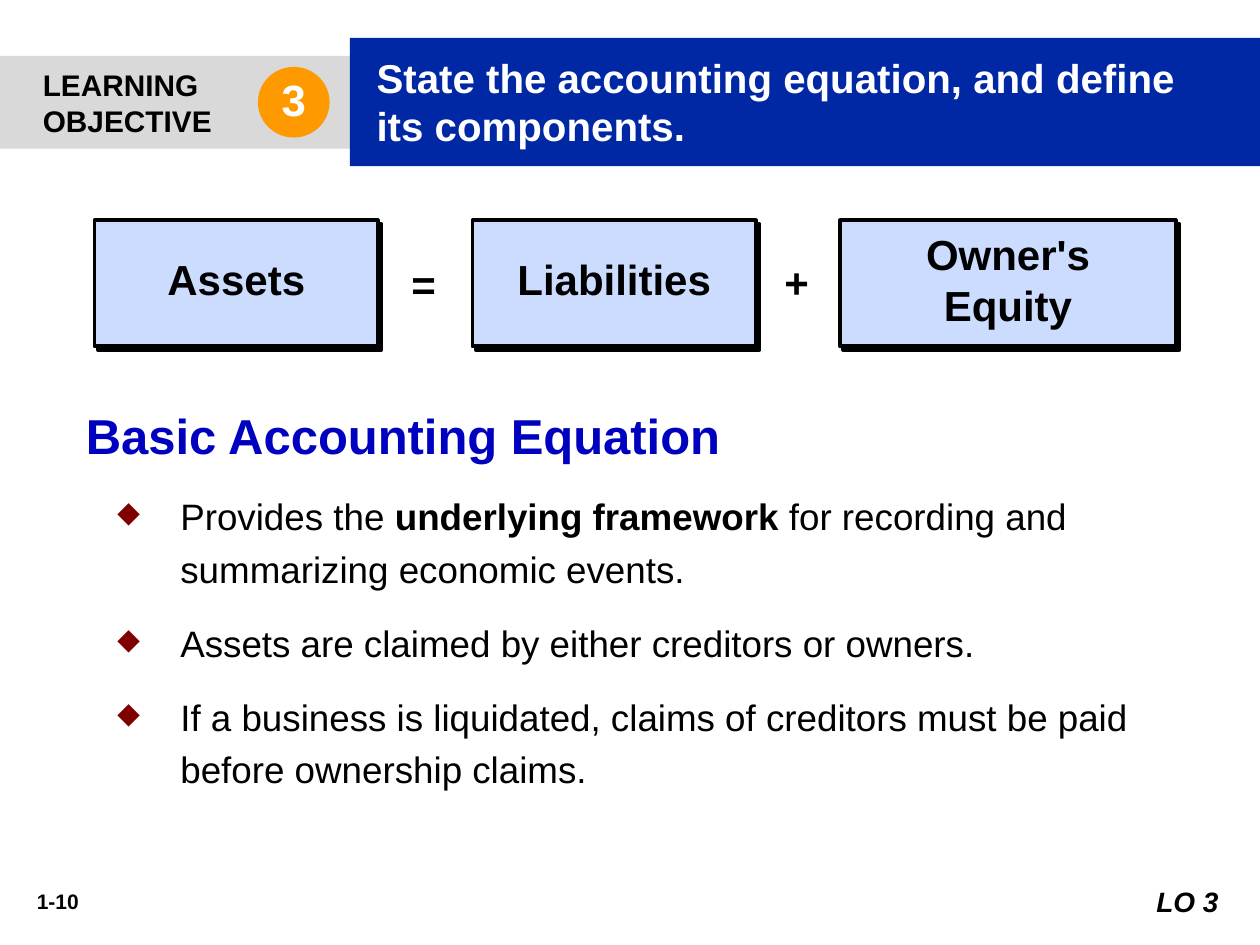
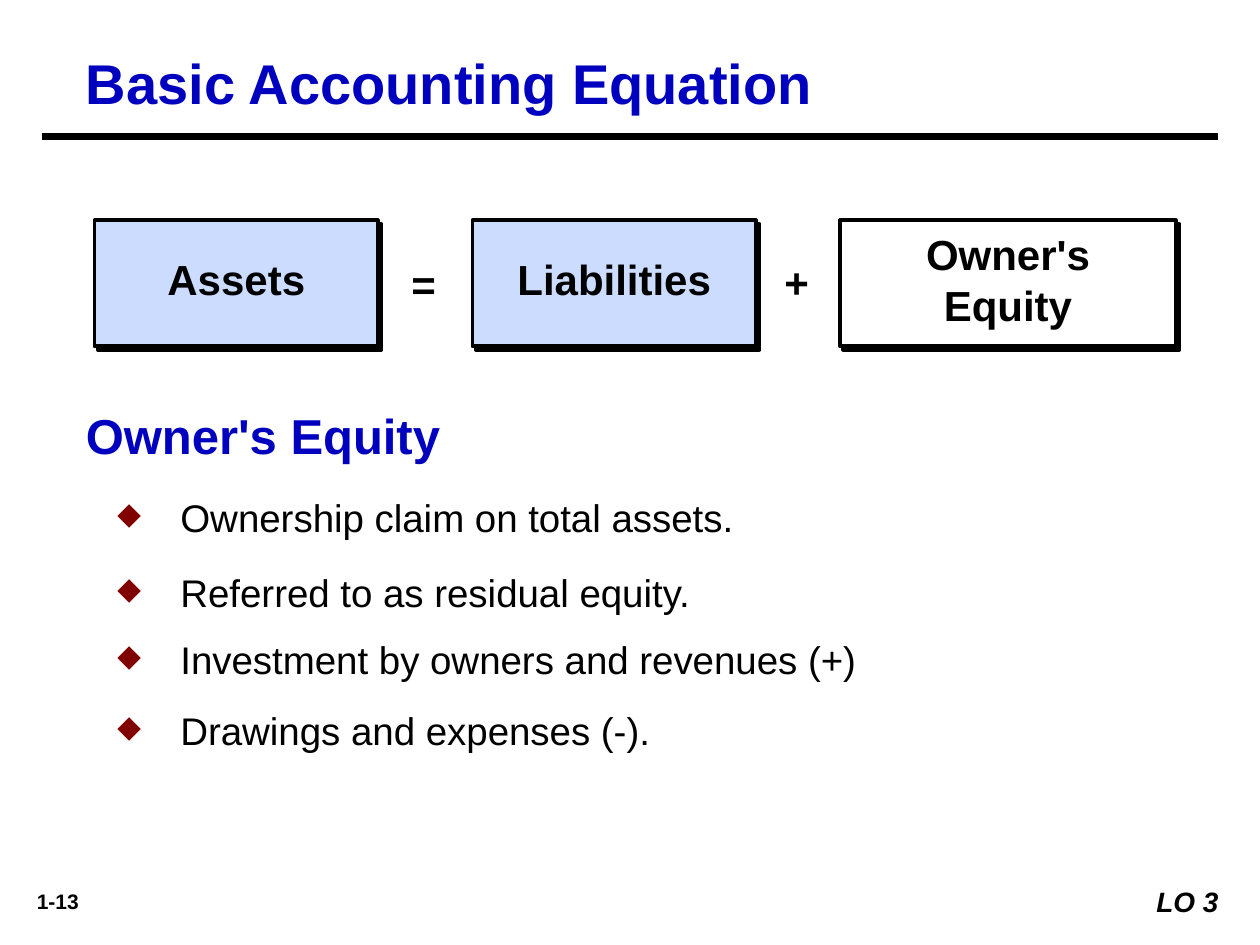
from lxml import etree
from pptx import Presentation
from pptx.dml.color import RGBColor
from pptx.enum.shapes import MSO_CONNECTOR, MSO_SHAPE
from pptx.enum.text import MSO_ANCHOR, PP_ALIGN
from pptx.oxml.ns import qn
from pptx.util import Pt

RECT, OVAL = MSO_SHAPE.RECTANGLE, MSO_SHAPE.OVAL
LEFT, CENTER, RIGHT = PP_ALIGN.LEFT, PP_ALIGN.CENTER, PP_ALIGN.RIGHT
TOP, MIDDLE = MSO_ANCHOR.TOP, MSO_ANCHOR.MIDDLE

FONT = "Arial"
BLACK, WHITE, HEADING = "000000", "FFFFFF", "0000BF"
TERM_FILL, BAND_GREY, BAND_BLUE = "CBDCFF", "D9D9D9", "0027A4"
BADGE, BULLET = "FF9900", "800000"
INSETS = (7.2, 3.6, 7.2, 3.6)


def rgb(value):
    return RGBColor.from_string(value)


def sub(parent, tag, **attrs):
    return etree.SubElement(parent, qn(tag), attrs)


def add_runs(p, runs, color=BLACK, **font):
    """Add (text, bold) runs that share one font format."""
    for text, bold in runs:
        r = p.add_run()
        r.text = text
        r.font.color.rgb = rgb(color)
        for name, value in {"name": FONT, "bold": bold, **font}.items():
            setattr(r.font, name, value)


def write(sp, lines, size, color=BLACK, align=LEFT, anchor=TOP,
          insets=INSETS, italic=False, wrap=True):
    """Fill a shape with bold lines of text."""
    tf = sp.text_frame
    sides = ("margin_left", "margin_top", "margin_right", "margin_bottom")
    layout = {"word_wrap": wrap, "vertical_anchor": anchor}
    layout.update(zip(sides, map(Pt, insets)))
    for name, value in layout.items():
        setattr(tf, name, value)
    for i, line in enumerate(lines):
        p = tf.add_paragraph() if i else tf.paragraphs[0]
        p.alignment = align
        add_runs(p, [(line, True)], color, size=Pt(size), italic=italic)


def add_box(s, box, fill, kind=RECT):
    sp = s.shapes.add_shape(kind, *map(Pt, box))
    sp.shadow.inherit = False
    sp.fill.solid()
    sp.fill.fore_color.rgb = rgb(fill)
    sp.line.fill.background()
    return sp


def add_label(s, box, text, size, color=BLACK, align=LEFT):
    sp = s.shapes.add_textbox(*map(Pt, box))
    write(sp, [text], size, color, align)


def add_hard_shadow(sp):
    effects = sp._element.spPr.find(qn("a:effectLst"))
    shadow = sub(effects, "a:outerShdw", blurRad="0", dist=str(Pt(2.8)),
                 dir="2700000", algn="ctr", rotWithShape="0")
    sub(shadow, "a:srgbClr", val=BLACK)


def objective_banner(s, x, y, w, h):
    """Grey label, numbered badge and blue statement."""
    label_w = 200
    sp = add_box(s, (x, y + 10.4, label_w, 53), BAND_GREY)
    write(sp, ["LEARNING", "OBJECTIVE"], 17, anchor=MIDDLE,
          insets=(24.5, 3.6, 6.5, 3.6), wrap=False)
    sp = add_box(s, (x + label_w, y, w - label_w, h), BAND_BLUE)
    write(sp, ["State the accounting equation, and define its components."],
          23, WHITE, anchor=MIDDLE, insets=(15.2, 2.9, 28.8, 3.6))
    sp = add_box(s, (x + 147.4, y + 16.6, 41, 40.4), BADGE, OVAL)
    write(sp, ["3"], 25, WHITE, CENTER, MIDDLE, (6.5, 0, 6.5, 3.6))


def ruled_title(s, x, y, w, h, text):
    """Slide title above a thick rule."""
    add_label(s, (x, y, 636, h), text, 32, HEADING)
    rule_y = Pt(y + h + 10)
    rule = s.shapes.add_connector(MSO_CONNECTOR.STRAIGHT, Pt(x - 18), rule_y,
                                  Pt(x - 18 + w), rule_y)
    rule.line.color.rgb = rgb(BLACK)
    rule.line.width = Pt(4.5)
    sub(rule._element.spPr, "a:effectLst")


def equation(s, x, y, h, highlight=None):
    """Three shadowed terms with operators between them."""
    terms = (("Assets", 0, 162), ("Liabilities", 216, 162),
             ("Owner's Equity", 426, 192))
    for term, dx, w in terms:
        fill = WHITE if term == highlight else TERM_FILL
        sp = add_box(s, (x + dx, y, w, h), fill)
        sp.line.color.rgb = rgb(BLACK)
        sp.line.width = Pt(2.25)
        add_hard_shadow(sp)
        write(sp, [term], 24, align=CENTER, anchor=MIDDLE,
              insets=(14.4, 0, 14.4, 5))
    for sign, dx, dy, align in (("=", 174, 18, LEFT), ("+", 384, 17.3, CENTER)):
        add_label(s, (x + dx, y + dy, 34.5, 36), sign, 24, align=align)


def bullet_section(s, x, y, w, h, heading, points, size):
    """Heading over bullets, each given as (runs, space before, space after)."""
    add_label(s, (x, y, 612, 39.6), heading, 28, HEADING)
    tf = s.shapes.add_textbox(Pt(x), Pt(y + 45.4), Pt(w), Pt(h)).text_frame
    tf.word_wrap = True
    for i, (runs, before, after) in enumerate(points):
        p = tf.add_paragraph() if i else tf.paragraphs[0]
        pPr = p._p.get_or_add_pPr()
        pPr.set("marL", str(Pt(54)))
        pPr.set("indent", str(Pt(-36)))
        sub(sub(pPr, "a:buClr"), "a:srgbClr", val=BULLET)
        sub(pPr, "a:buSzPct", val="80000")
        sub(pPr, "a:buChar", char="◆")
        spacing = {"line_spacing": 1.2, "space_before": Pt(before if i else 0),
                   "space_after": Pt(after)}
        for name, value in spacing.items():
            setattr(p, name, value)
        add_runs(p, runs, size=Pt(size))


def footer(s, x, y, w, page):
    """Page number at left, objective mark at right."""
    add_label(s, (x, y + 2, 54, 21.6), page, 12, align=CENTER)
    sp = add_box(s, (x + w - 60, y, 60, 26.6), WHITE)
    write(sp, ["LO 3"], 16, align=RIGHT, insets=(7.2, 3.6, 11.8, 3.6),
          italic=True)


def main():
    prs = Presentation()
    prs.slide_width, prs.slide_height = Pt(720), Pt(540)
    blank = prs.slide_layouts[6]

    # Learning objective and the whole equation
    s = prs.slides.add_slide(blank)
    footer(s, 6, 502, 702, "1-10")
    equation(s, 54, 126, 72)
    objective_banner(s, 0, 21.6, 720, 73.4)
    framework = [("Provides the ", False), ("underlying framework", True),
                 (" for recording and summarizing economic events.", False)]
    claims = [("Assets are claimed by either creditors or owners.", False)]
    liquidation = [("If a business is liquidated, claims of creditors must be "
                    "paid before ownership claims.", False)]
    bullet_section(s, 42, 228.2, 648, 184.3, "Basic Accounting Equation",
                   [(runs, 12, 0) for runs in (framework, claims, liquidation)],
                   21)

    # Owner's equity
    s = prs.slides.add_slide(blank)
    footer(s, 6, 502, 702, "1-13")
    equation(s, 54, 126, 72, highlight="Owner's Equity")
    ruled_title(s, 42, 24, 672, 44, "Basic Accounting Equation")
    points = (("Ownership claim on total assets.", 11, 0),
              ("Referred to as residual equity.", 11, 0),
              ("Investment by owners and revenues (+)", 6.6, 2.2),
              ("Drawings and expenses (-).", 6.6, 2.2))
    bullet_section(s, 42, 228.2, 648, 167, "Owner's Equity",
                   [([(text, False)], before, after)
                    for text, before, after in points], 22)

    prs.save("out.pptx")


if __name__ == "__main__":
    main()
